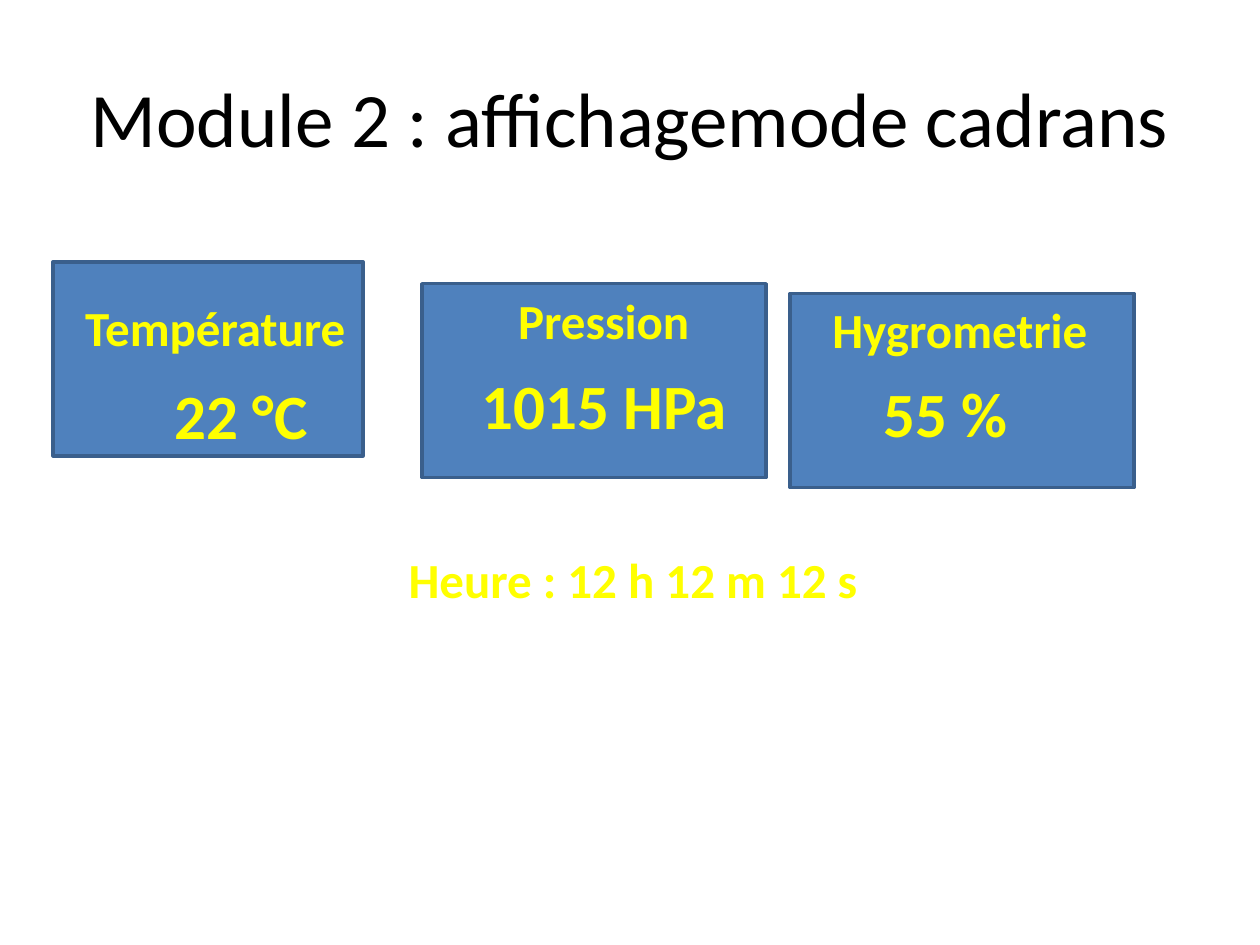
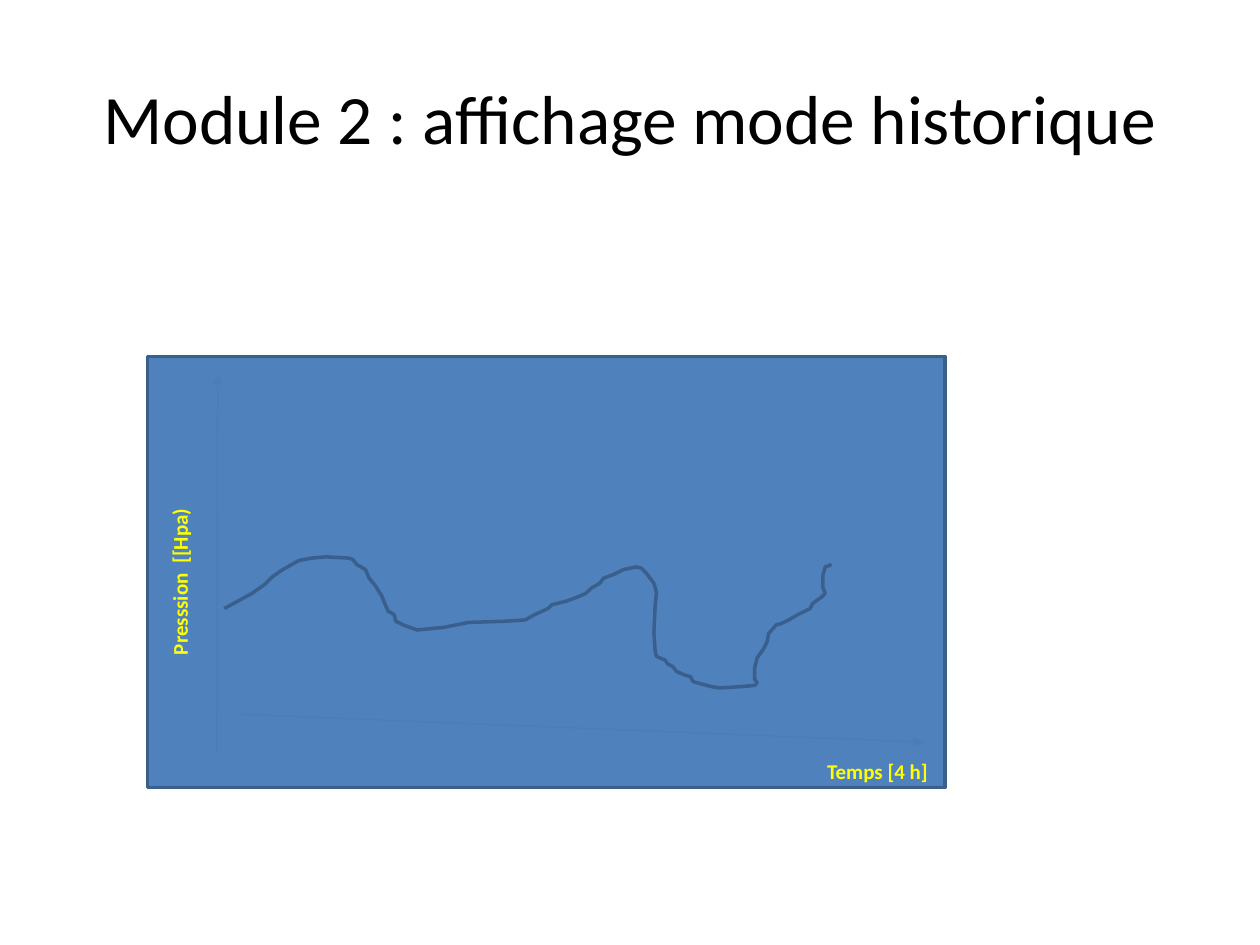
from lxml import etree
from pptx import Presentation
from pptx.dml.color import RGBColor
from pptx.enum.shapes import MSO_CONNECTOR, MSO_SHAPE
from pptx.enum.text import MSO_ANCHOR, MSO_AUTO_SIZE, PP_ALIGN
from pptx.oxml.ns import qn
from pptx.util import Cm, Pt

FONT = "Calibri"
TITLE_LAYOUT = 5
BLACK, YELLOW = "000000", "FFFF00"
BLUE, DARK_BLUE, AXIS_BLUE = "4F81BD", "3A5F8C", "4A7EBB"

# Pressure curve, in hundredths of an inch from the corner of the page
CURVE_UNIT = Cm(0.0254)
PRESSURE_CURVE = [
    (178, 483), (189, 477), (200, 471), (210, 464), (216, 458), (223, 453),
    (230, 449), (237, 445), (247, 443), (259, 442), (277, 443), (280, 444),
    (283, 448), (290, 452), (293, 459), (298, 465), (303, 473), (305, 478),
    (308, 485), (313, 488), (314, 493), (320, 496), (331, 500), (352, 498),
    (372, 494), (403, 493), (417, 492), (424, 488), (435, 483), (438, 480),
    (450, 477), (458, 474), (465, 471), (469, 467), (476, 463), (479, 459),
    (487, 456), (495, 452), (505, 450), (509, 451), (513, 455), (519, 463),
    (521, 470), (520, 481), (519, 502), (520, 517), (521, 521), (528, 524),
    (530, 527), (534, 529), (537, 533), (544, 536), (548, 537), (550, 541),
    (557, 543), (565, 545), (571, 546), (588, 545), (599, 544), (601, 542),
    (599, 539), (599, 530), (601, 522), (606, 515), (609, 509), (610, 503),
    (616, 496), (620, 495), (626, 492), (633, 488), (643, 483), (645, 479),
    (652, 474), (655, 471), (653, 466), (653, 457), (655, 450), (660, 448),
]


def color(hex_code):
    return RGBColor.from_string(hex_code)


class SlideBuilder:
    """Holds the deck, its shared style and the current page."""

    def __init__(self):
        self.deck = Presentation()
        self.deck.slide_width, self.deck.slide_height = Cm(25.4), Cm(19.05)
        self.page = None

    def set_text(self, frame, text, size, ink, bold):
        frame.text = text
        frame.word_wrap = True
        para = frame.paragraphs[0]
        para.alignment = PP_ALIGN.CENTER
        para.font.name = FONT
        para.font.size = Pt(size)
        para.font.bold = bold
        para.font.color.rgb = color(ink)

    def outline(self, shape):
        shape.shadow.inherit = False
        shape.line.color.rgb = color(DARK_BLUE)
        shape.line.width = Pt(2)

    def new_page(self, title, size):
        self.page = self.deck.slides.add_slide(self.deck.slide_layouts[TITLE_LAYOUT])
        box = self.page.shapes.title
        box.left, box.top, box.width, box.height = Cm(1.27), Cm(0.76), Cm(22.86), Cm(3.18)
        self.set_text(box.text_frame, title, size, BLACK, False)
        box.text_frame.vertical_anchor = MSO_ANCHOR.MIDDLE

    def panel(self, left, top, width, height):
        panel = self.page.shapes.add_shape(
            MSO_SHAPE.RECTANGLE, Cm(left), Cm(top), Cm(width), Cm(height))
        panel.fill.solid()
        panel.fill.fore_color.rgb = color(BLUE)
        self.outline(panel)

    def label(self, text, size, left, top, width, height, fill=None, rotation=0):
        box = self.page.shapes.add_textbox(Cm(left), Cm(top), Cm(width), Cm(height))
        box.rotation = rotation
        if fill:
            box.fill.solid()
            box.fill.fore_color.rgb = color(fill)
        self.set_text(box.text_frame, text, size, YELLOW, True)
        box.text_frame.auto_size = MSO_AUTO_SIZE.SHAPE_TO_FIT_TEXT

    def axis(self, *ends):
        arrow = self.page.shapes.add_connector(
            MSO_CONNECTOR.STRAIGHT, *[Cm(end) for end in ends])
        arrow.line.color.rgb = color(AXIS_BLUE)
        arrow.line.width = Pt(0.75)
        properties = arrow.element.spPr
        etree.SubElement(properties.find(qn("a:ln")), qn("a:tailEnd"), type="triangle")
        etree.SubElement(properties, qn("a:effectLst"))

    def curve(self, points):
        builder = self.page.shapes.build_freeform(*points[0], scale=CURVE_UNIT)
        builder.add_line_segments(points[1:], close=False)
        curve = builder.convert_to_shape()
        curve.fill.background()
        self.outline(curve)


def add_dials(slides):
    slides.new_page("Module 2 : affichagemode cadrans", 44)
    # name, value, dial (left, top, width), name corner, value corner, value fill
    dials = [
        ("Hygrometrie", "55 %", (15.93, 5.92, 6.93), (15.44, 5.92), (16.1, 7.42), BLUE),
        ("Pression", "1015 HPa", (8.51, 5.72, 6.93), (8.26, 5.74), (9.22, 7.26), BLUE),
        ("Température", "22 °C", (1.07, 5.28, 6.25), (0.43, 5.87), (1.9, 7.47), None),
    ]
    for name, value, dial, name_corner, value_corner, fill in dials:
        slides.panel(*dial, 3.91)
        slides.label(value, 36, *value_corner, 5.92, 1.78, fill=fill)
        slides.label(name, 28, *name_corner, 7.82, 1.45)
    slides.label("Heure : 12 h 12 m 12 s ", 28, 7.32, 10.95, 11.1, 1.45)


def add_history(slides):
    slides.new_page("Module 2 : affichage mode historique", 39.6)
    slides.panel(2.97, 7.19, 16.08, 8.69)
    slides.curve(PRESSURE_CURVE)
    slides.axis(4.37, 15.16, 4.39, 7.54)
    slides.axis(4.88, 14.4, 18.62, 14.96)
    slides.label("Temps [4 h]", 12, 15.57, 15.16, 4.24, 0.76)
    slides.label("Presssion  [[Hpa)", 12, 1.5, 11.35, 4.24, 0.76, rotation=270)


def main():
    slides = SlideBuilder()
    add_dials(slides)
    add_history(slides)
    slides.deck.save("out.pptx")


if __name__ == "__main__":
    main()
